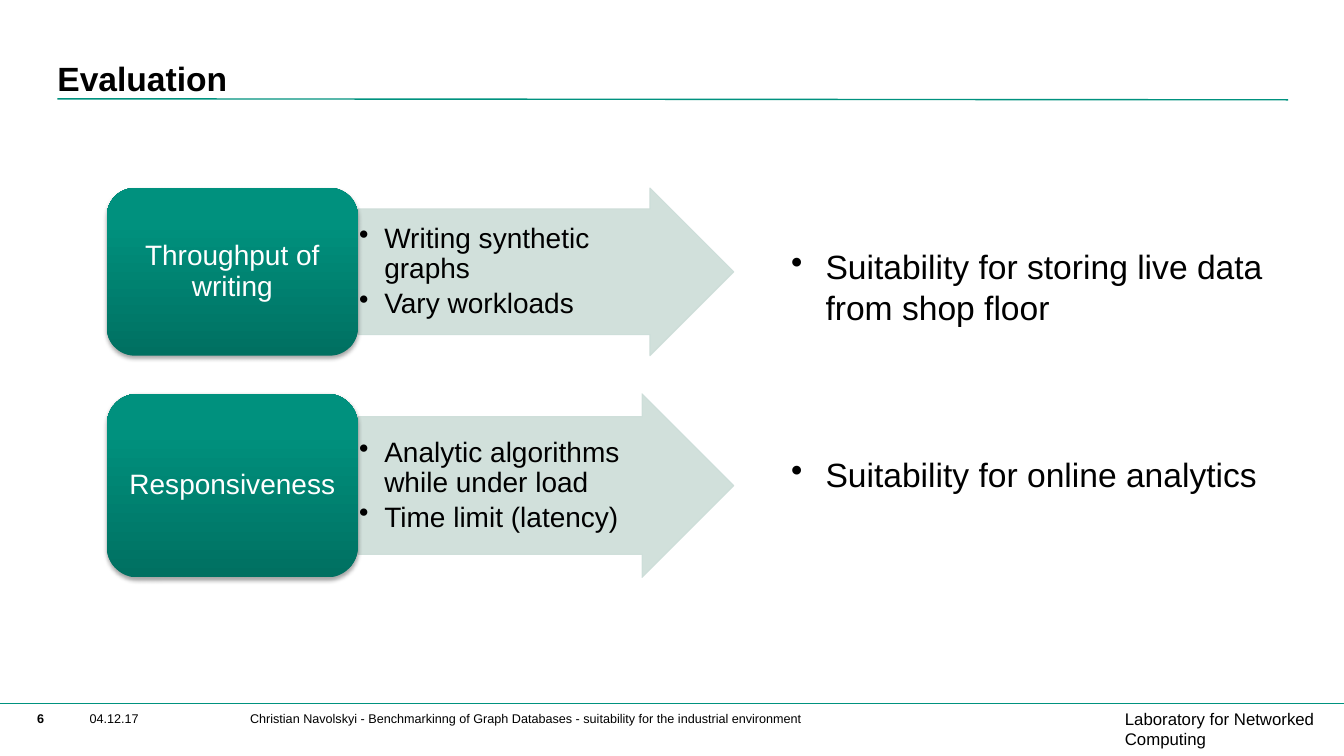
import pptx
import pptx.util
import pptx.dml.color
import pptx.enum.shapes
import pptx.enum.text
import pptx.oxml
import pptx.oxml.ns
from dataclasses import dataclass

Pt = pptx.util.Pt
qn = pptx.oxml.ns.qn
SHAPES = pptx.enum.shapes.MSO_SHAPE
ANCHOR = pptx.enum.text.MSO_ANCHOR
ALIGN = pptx.enum.text.PP_ALIGN
NS = 'xmlns:a="http://schemas.openxmlformats.org/drawingml/2006/main"'


@dataclass(frozen=True)
class Theme:
    font: str = "Arial"
    black: str = "000000"
    white: str = "FFFFFF"
    green: str = "00927F"
    pale: str = "CCDDD8"
    gradient: tuple = ((0, "007061"), (80, "00917E"), (100, "00927F"))
    title: int = 24
    body: int = 24
    diagram: int = 20
    group: int = 12
    footer: int = 9


def rgb(value):
    return pptx.dml.color.RGBColor.from_string(value)


class SlideBuilder:
    def __init__(self, page, theme):
        self.page = page
        self.theme = theme

    def fill_text(self, shape, lines, size, color=None, bold=False, insets=(0, 0, 0, 0),
                  anchor=ANCHOR.TOP, indent=0, **layout):
        """Fill a shape with paragraphs; a positive indent makes them bullets."""
        frame = shape.text_frame
        settings = dict(word_wrap=True, vertical_anchor=anchor)
        settings.update(zip(("margin_left", "margin_top", "margin_right", "margin_bottom"),
                            map(Pt, insets)))
        for name, value in settings.items():
            setattr(frame, name, value)
        for index, line in enumerate(lines):
            para = frame.paragraphs[0] if index == 0 else frame.add_paragraph()
            for name, value in {"alignment": ALIGN.LEFT, **layout}.items():
                if name != "space_before" or index:
                    setattr(para, name, value)
            if indent:
                properties = para._p.get_or_add_pPr()
                properties.set("marL", str(Pt(indent)))
                properties.set("indent", str(-Pt(indent)))
                properties.append(pptx.oxml.parse_xml(f'<a:buChar {NS} char="•"/>'))
            span = para.add_run()
            span.text = line
            for name, value in dict(name=self.theme.font, size=Pt(size), bold=bold).items():
                setattr(span.font, name, value)
            span.font.color.rgb = rgb(color or self.theme.black)

    def text(self, place, lines, size, **style):
        box = self.page.shapes.add_textbox(*map(Pt, place))
        self.fill_text(box, lines, size, **style)

    def shape(self, kind, place, fill, line=None, width=1):
        box = self.page.shapes.add_shape(kind, *map(Pt, place))
        box.shadow.inherit = False
        box.fill.solid()
        box.fill.fore_color.rgb = rgb(fill)
        if line:
            box.line.color.rgb = rgb(line)
            box.line.width = Pt(width)
        else:
            box.line.fill.background()
        return box

    def rule(self, start, end):
        line = self.page.shapes.add_connector(
            pptx.enum.shapes.MSO_CONNECTOR.STRAIGHT, *map(Pt, start + end))
        line.line.color.rgb = rgb(self.theme.green)
        line.line.width = Pt(1)
        line._element.spPr.append(pptx.oxml.parse_xml(f"<a:effectLst {NS}/>"))

    def arrow(self, place, lines):
        pale = self.theme.pale
        arrow = self.shape(SHAPES.RIGHT_ARROW, place, pale, pale, 0.75)
        arrow.adjustments[0], arrow.adjustments[1] = 0.75, 0.5
        for color in arrow._element.spPr.iter(qn("a:srgbClr")):
            color.append(pptx.oxml.parse_xml(f'<a:alpha {NS} val="90000"/>'))
        self.fill_text(arrow, lines, self.theme.diagram, insets=(0.9,) * 4,
                       anchor=ANCHOR.MIDDLE, indent=18, level=1, line_spacing=0.9,
                       space_after=Pt(3))

    def card(self, place, label):
        card = self.shape(SHAPES.ROUNDED_RECTANGLE, place, self.theme.green)
        properties = card._element.spPr
        stops = "".join(f'<a:gs pos="{position * 1000}"><a:srgbClr val="{color}"/></a:gs>'
                        for position, color in self.theme.gradient)
        properties.replace(properties.find(qn("a:solidFill")), pptx.oxml.parse_xml(
            f'<a:gradFill {NS} rotWithShape="1"><a:gsLst>{stops}</a:gsLst>'
            '<a:lin ang="16200000" scaled="0"/></a:gradFill>'))
        properties.find(qn("a:effectLst")).append(pptx.oxml.parse_xml(
            f'<a:outerShdw {NS} blurRad="{Pt(3.1)}" dist="{Pt(1.8)}" dir="5400000" '
            f'rotWithShape="0"><a:srgbClr val="{self.theme.black}"><a:alpha val="35000"/>'
            '</a:srgbClr></a:outerShdw>'))
        self.fill_text(card, [label], self.theme.diagram, color=self.theme.white,
                       insets=(6, 3, 6, 3), anchor=ANCHOR.MIDDLE, alignment=ALIGN.CENTER,
                       line_spacing=0.9, space_after=Pt(7))


def main():
    deck = pptx.Presentation()
    deck.slide_width, deck.slide_height = Pt(960), Pt(540)
    theme = Theme()
    slide = SlideBuilder(deck.slides.add_slide(deck.slide_layouts[6]), theme)

    # Footer
    slide.shape(SHAPES.RECTANGLE, (0, 503.3, 960, 36.7), theme.white, theme.white, 2)
    slide.text((803.5, 506.2, 138.2, 30.2), ["Laboratory for Networked Computing"], theme.group)
    slide.rule((-0.7, 502.6), (960, 502.6))
    footer = [
        (26.6, 33.8, "6", True),
        (64.1, 90.7, "04.12.17", False),
        (178.6, 445.7, "Christian Navolskyi - Benchmarkinng of Graph Databases"
                       " - suitability for the industrial environment", False),
    ]
    for left, width, words, bold in footer:
        slide.text((left, 507.6, width, 28), [words], theme.footer, bold=bold)

    # Title
    slide.rule((41, 70.6), (920.2, 71.3))
    slide.text((41, 25.9, 725.8, 43.9), ["Evaluation"], theme.title,
               bold=True, anchor=ANCHOR.BOTTOM)

    # Criteria with their arrows
    card_left, card_width, arrow_width = 76.3, 179.3, 268.6
    criteria = [
        (134.3, 119.8, "Throughput of writing",
         ["Writing synthetic graphs", "Vary workloads"]),
        (281.3, 131.2, "Responsiveness",
         ["Analytic algorithms while under load", "Time limit (latency)"]),
    ]
    for top, height, label, details in criteria:
        slide.arrow((card_left + card_width, top, arrow_width, height), details)
        slide.card((card_left, top, card_width, height), label)

    # Conclusions
    slide.text((565.2, 105.8, 371.5, 385.2),
               ["Suitability for storing live data from shop floor",
                "Suitability for online analytics"],
               theme.body, insets=(0, 70, 0, 0), indent=24.5, space_before=Pt(91))

    deck.save("out.pptx")


if __name__ == "__main__":
    main()
